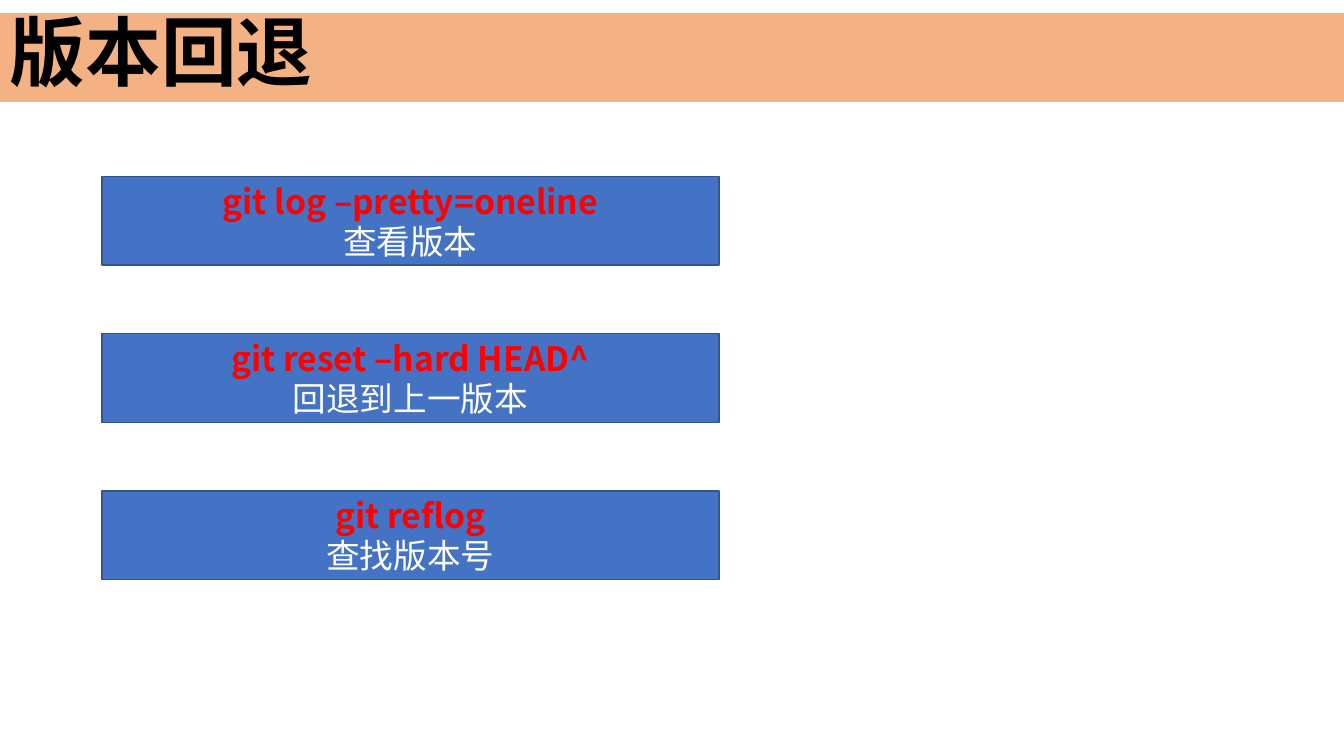
from dataclasses import dataclass

from pptx import Presentation
from pptx import util as u
from pptx.dml.color import RGBColor
from pptx.enum import shapes, text
from pptx.oxml.ns import qn
from pptx.oxml.xmlchemy import OxmlElement

PX = 9144  # EMU per px, 100 px to the inch


@dataclass(frozen=True)
class Theme:
    banner: RGBColor = RGBColor.from_string("F4B183")
    card: RGBColor = RGBColor.from_string("4472C4")
    card_edge: RGBColor = RGBColor.from_string("325491")
    title: RGBColor = RGBColor.from_string("000000")
    command: RGBColor = RGBColor.from_string("FF0000")
    meaning: RGBColor = RGBColor.from_string("FFFFFF")
    title_font: str = "Courier New"
    card_font: str = "Noto Sans CJK SC"
    title_size: int = 54
    card_size: int = 24


@dataclass(frozen=True)
class Command:
    code: str
    meaning: str


THEME = Theme()
SLIDE_WIDTH, SLIDE_HEIGHT = 1333, 750
BANNER_TOP, BAR_HEIGHT = 13, 88
CARD_LEFT, CARD_TOP, CARD_WIDTH, CARD_PITCH = 101, 175, 612, 156
COMMANDS = [
    Command("git log –pretty=oneline", "查看版本"),
    Command("git reset –hard HEAD^", "回退到上一版本"),
    Command("git reflog", "查找版本号"),
]


def add_bar(slide, left: int, top: int, width: int, fill: RGBColor):
    bar = slide.shapes.add_shape(
        shapes.MSO_SHAPE.RECTANGLE, left * PX, top * PX, width * PX, BAR_HEIGHT * PX
    )
    bar.shadow.inherit = False
    bar.fill.solid()
    bar.fill.fore_color.rgb = fill
    bar.text_frame.word_wrap = True
    return bar


def set_font(paragraph, name: str, size: int) -> None:
    """Set size and typeface, for Latin and Chinese characters alike."""
    paragraph.font.size = u.Pt(size)
    paragraph.font.name = name
    east_asian = OxmlElement("a:ea")
    east_asian.set("typeface", name)
    paragraph._p.pPr.find(qn("a:defRPr")).append(east_asian)


def add_run(paragraph, words: str, color: RGBColor, bold: bool) -> None:
    run = paragraph.add_run()
    run.text = words
    run.font.color.rgb = color
    run.font.bold = bold


def add_banner(slide, title: str) -> None:
    banner = add_bar(slide, 0, BANNER_TOP, SLIDE_WIDTH, THEME.banner)
    banner.line.fill.background()
    banner.text_frame.vertical_anchor = text.MSO_ANCHOR.BOTTOM
    paragraph = banner.text_frame.paragraphs[0]
    paragraph.alignment = text.PP_ALIGN.LEFT
    paragraph.line_spacing = 0.9
    set_font(paragraph, THEME.title_font, THEME.title_size)
    add_run(paragraph, title, THEME.title, True)


def add_card(slide, top: int, command: Command) -> None:
    card = add_bar(slide, CARD_LEFT, top, CARD_WIDTH, THEME.card)
    card.line.color.rgb = THEME.card_edge
    card.line.width = u.Pt(1)
    card.text_frame.vertical_anchor = text.MSO_ANCHOR.MIDDLE
    paragraph = card.text_frame.paragraphs[0]
    paragraph.alignment = text.PP_ALIGN.CENTER
    set_font(paragraph, THEME.card_font, THEME.card_size)
    add_run(paragraph, command.code, THEME.command, True)
    paragraph.add_line_break()
    add_run(paragraph, command.meaning, THEME.meaning, False)


def main() -> None:
    deck = Presentation()
    deck.slide_width, deck.slide_height = SLIDE_WIDTH * PX, SLIDE_HEIGHT * PX
    slide = deck.slides.add_slide(deck.slide_layouts[6])
    add_banner(slide, "版本回退")
    for row, command in enumerate(COMMANDS):
        add_card(slide, CARD_TOP + row * CARD_PITCH, command)
    deck.save("out.pptx")


if __name__ == "__main__":
    main()
